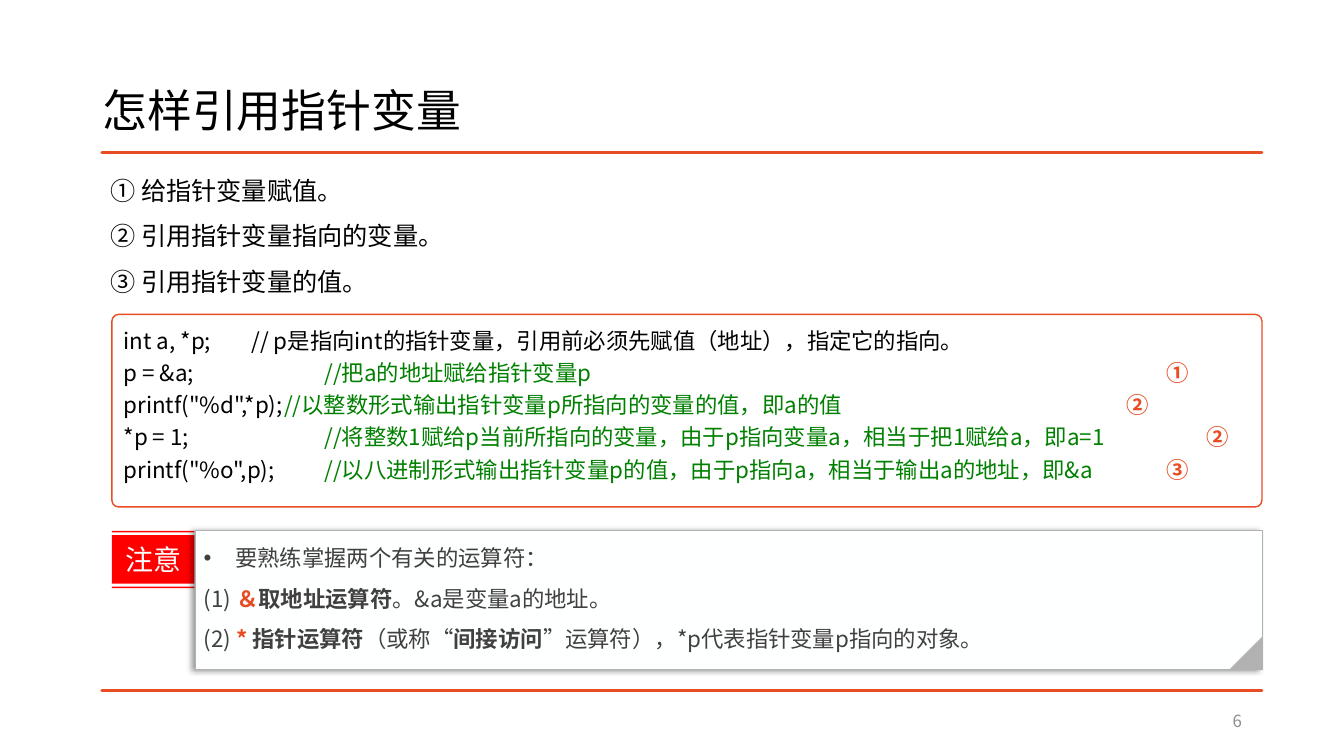
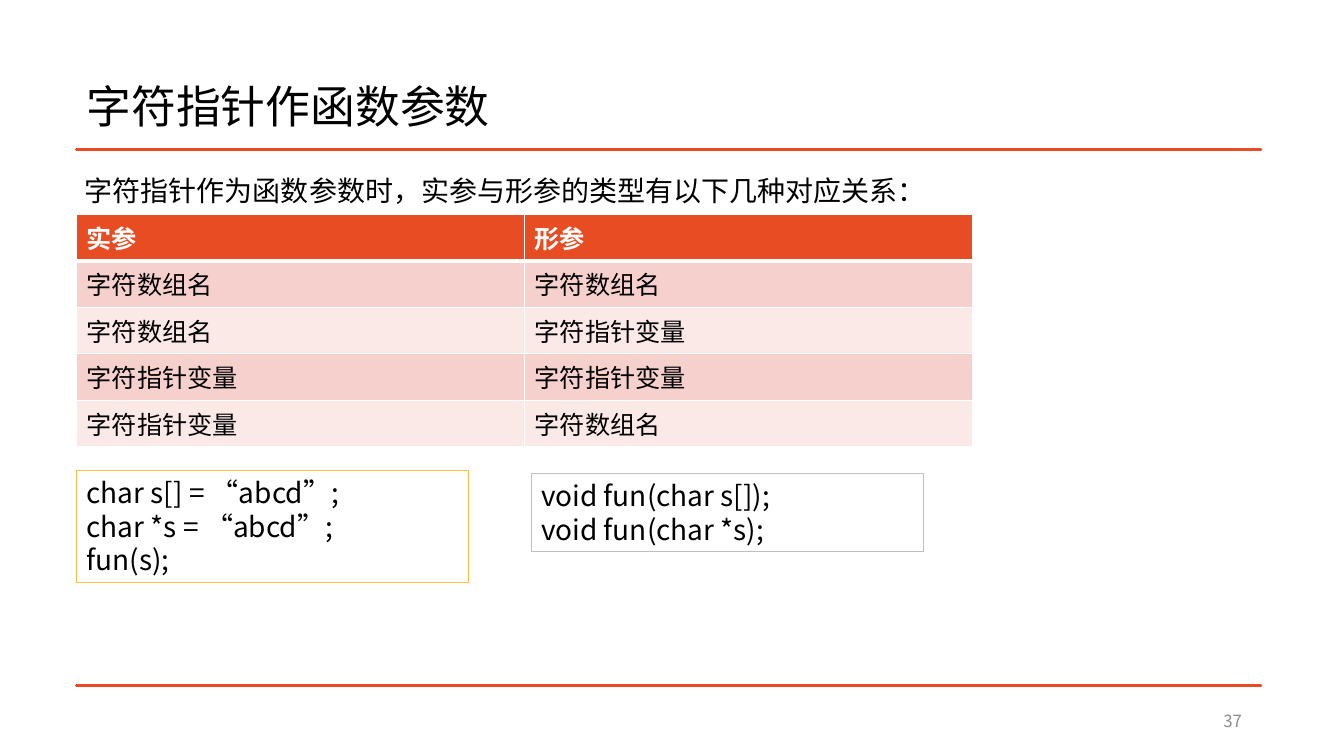
from lxml.etree import SubElement
from pptx import Presentation
from pptx.dml.color import RGBColor
from pptx.enum.lang import MSO_LANGUAGE_ID as Lang
from pptx.enum.shapes import MSO_SHAPE as Shape
from pptx.enum.text import MSO_ANCHOR as Anchor, PP_ALIGN as Align
from pptx.oxml.ns import qn
from pptx.util import Pt

COLORS = {
    "accent": "E84C22", "black": "000000", "white": "FFFFFF", "paper": "FEFFFF",
    "green": "008000", "red": "FF0000", "gold": "FFBD47", "grey": "B2B2B2", "silver": "BFBFBF",
    "dark": "404040", "footer": "8C8C8C", "band": "F6D0CD", "pale": "FBE9E8",
}
RGB = {name: RGBColor.from_string(value) for name, value in COLORS.items()}
FONT = "Noto Sans CJK SC"


def write(frame, paragraphs, size=18, color="black", bold=False, align=Align.LEFT,
          anchor=Anchor.TOP, spacing=None, after=0, margins=(7.2, 3.6)):
    frame.word_wrap = True
    frame.vertical_anchor = anchor
    frame.margin_left = frame.margin_right = Pt(margins[0])
    frame.margin_top = frame.margin_bottom = Pt(margins[1])
    for index, spans in enumerate(paragraphs):
        para = frame.paragraphs[0] if index == 0 else frame.add_paragraph()
        para.alignment = align
        para.space_after = Pt(after)
        if spacing:
            para.line_spacing = Pt(spacing)
        if isinstance(spans, str):
            spans = [(spans, color, bold)]
        for text, span_color, span_bold in spans:
            span = para.add_run()
            span.text = text
            span.font.size = Pt(size)
            span.font.bold = span_bold
            span.font.color.rgb = RGB[span_color]
            span.font.name = FONT
            span.font.language_id = Lang.SIMPLIFIED_CHINESE
            SubElement(span.font._element, qn("a:ea"), typeface=FONT)


def add_box(page, kind, place, fill=None, line=None, width=0.75):
    box = page.shapes.add_shape(kind, *map(Pt, place))
    box.shadow.inherit = False
    if fill:
        box.fill.solid()
        box.fill.fore_color.rgb = RGB[fill]
    else:
        box.fill.background()
    if line:
        box.line.color.rgb = RGB[line]
        box.line.width = Pt(width)
    else:
        box.line.fill.background()
    return box


deck = Presentation()
deck.slide_width, deck.slide_height = Pt(960), Pt(540)

frames = [
    ("怎样引用指针变量", (66.2, 28.8, 828, 104.4), (72.7, 901.4), (493.2, 108.7), "6",
     ["① 给指针变量赋值。", "② 引用指针变量指向的变量。", "③ 引用指针变量的值。"], 18, 32.4),
    ("字符指针作函数参数", (54.7, 41, 828, 74.9), (54.5, 900.7), (489.6, 106.6), "37",
     ["字符指针作为函数参数时，实参与形参的类型有以下几种对应关系："], 20, 35.5),
]
pages = []
for title, place, (left, right), heights, number, body, size, spacing in frames:
    page = deck.slides.add_slide(deck.slide_layouts[6])
    pages.append(page)
    box = page.shapes.add_textbox(*map(Pt, place))
    write(box.text_frame, [title], size=32, anchor=Anchor.MIDDLE, spacing=33)
    builder = page.shapes.build_freeform(Pt(left), Pt(heights[0]))
    for y in heights:
        builder.move_to(Pt(left), Pt(y))
        builder.add_line_segments([(Pt(right), Pt(y)), (Pt(left), Pt(y))], close=True)
    rules = builder.convert_to_shape()
    rules.shadow.inherit = False
    rules.fill.background()
    rules.line.color.rgb = RGB["accent"]
    rules.line.width = Pt(2)
    write(rules.text_frame, body, size=size, spacing=spacing, align=Align.JUSTIFY,
          margins=(6, 5.8))
    box = page.shapes.add_textbox(Pt(678.2), Pt(500.4), Pt(216), Pt(28.8))
    write(box.text_frame, [number], size=12, color="footer", align=Align.RIGHT, anchor=Anchor.MIDDLE)
usage, arguments = pages

TAB = 28.65
code_lines = [
    ("int a, *p;", "// p是指向int的指针变量，引用前必须先赋值（地址），指定它的指向。", "", [91.2]),
    ("p = &a;", "//把a的地址赋给指针变量p", "①", [5 * TAB, 26 * TAB]),
    ("printf(\"%d\",*p);", "//以整数形式输出指针变量p所指向的变量的值，即a的值", "②", [4 * TAB, 25 * TAB]),
    ("*p = 1;", "//将整数1赋给p当前所指向的变量，由于p指向变量a，相当于把1赋给a，即a=1", "②",
     [5 * TAB, 27 * TAB]),
    ("printf(\"%o\",p);", "//以八进制形式输出指针变量p的值，由于p指向a，相当于输出a的地址，即&a", "③",
     [5 * TAB, 26 * TAB]),
]
code_box = add_box(usage, Shape.ROUNDED_RECTANGLE, (79.9, 224.6, 821.5, 137.5), "white", "accent", 1)
code_box.adjustments[0] = 0.035
code_spans = []
for code, comment, mark, stops in code_lines:
    spans = [(code + "\t", "black", False), (comment, "green" if mark else "black", False)]
    if mark:
        spans.append(("\t" + mark, "accent", True))
    code_spans.append(spans)
write(code_box.text_frame, code_spans, size=16, spacing=23, margins=(7.2, 3.8))
for para, (code, comment, mark, stops) in zip(code_box.text_frame.paragraphs, code_lines):
    tabs = SubElement(para._p.get_or_add_pPr(), qn("a:tabLst"))
    for stop in stops:
        SubElement(tabs, qn("a:tab"), pos=str(Pt(stop)), algn="l")

for top, height in [(379.2, 1.2), (419, 1.2)]:
    add_box(usage, Shape.RECTANGLE, (79.9, top, 59, height), "red")
label = add_box(usage, Shape.RECTANGLE, (79.9, 382.3, 59, 34.6), "red")
write(label.text_frame, ["注意"], size=20, color="paper", align=Align.CENTER,
      anchor=Anchor.MIDDLE, spacing=23.5)

note = add_box(usage, Shape.RECTANGLE, (139.7, 379, 761.8, 99.4), "paper", "grey")
effects = note._element.spPr.find(qn("a:effectLst"))
shadow = SubElement(effects, qn("a:outerShdw"), blurRad=str(Pt(4)), dist=str(Pt(3)),
                    dir="10800000", algn="r", rotWithShape="0")
shade = SubElement(shadow, qn("a:srgbClr"), val=COLORS["black"])
SubElement(shade, qn("a:alpha"), val="40000")
write(note.text_frame, [
    "要熟练掌握两个有关的运算符：",
    [("(1) ", "dark", False), ("＆", "accent", True), ("取地址运算符", "dark", True),
     ("。&a是变量a的地址。", "dark", False)],
    [("(2) ", "dark", False), ("* ", "accent", True), ("指针运算符", "dark", True),
     ("（或称“", "dark", False), ("间接访问", "dark", True),
     ("”运算符），*p代表指针变量p指向的对象。", "dark", False)],
], size=16, color="dark", spacing=23, after=6, margins=(5.8, 6))
bullet = note.text_frame.paragraphs[0]._p.get_or_add_pPr()
bullet.set("marL", str(Pt(22.6)))
bullet.set("indent", str(-Pt(22.6)))
SubElement(bullet, qn("a:buFont"), typeface="Arial")
SubElement(bullet, qn("a:buChar"), char="•")
corner = add_box(usage, Shape.RIGHT_TRIANGLE, (878.2, 454.8, 23.4, 23.4), "grey")
corner.rotation = 270

ARRAY, POINTER = "字符数组名", "字符指针变量"
rows = [("实参", "形参"), (ARRAY, ARRAY), (ARRAY, POINTER), (POINTER, POINTER), (POINTER, ARRAY)]
grid = arguments.shapes.add_table(len(rows), 2, Pt(54.7), Pt(153), Pt(640), Pt(166)).table
for row_index, row in enumerate(rows):
    grid.rows[row_index].height = Pt(33.2)
    header = row_index == 0
    fill = "accent" if header else ("band" if row_index % 2 else "pale")
    for column_index, text in enumerate(row):
        cell = grid.cell(row_index, column_index)
        write(cell.text_frame, [text], color="white" if header else "black", bold=header)
        properties = cell._tc.get_or_add_tcPr()
        for side in ("L", "R", "T", "B"):
            thick = header and side == "B"
            edge = SubElement(properties, qn("a:ln" + side), w=str(Pt(3 if thick else 1)))
            paint = SubElement(edge, qn("a:solidFill"))
            SubElement(paint, qn("a:srgbClr"), val=COLORS["white"])
        cell.fill.solid()
        cell.fill.fore_color.rgb = RGB[fill]

samples = [
    ((54.7, 336.2, 280, 79.9), "gold", ["char s[] = “abcd”;", "char *s = “abcd”;", "fun(s);"]),
    ((379.4, 338.4, 280, 55.4), "silver", ["void fun(char s[]);", "void fun(char *s);"]),
]
for place, line, lines in samples:
    sample = add_box(arguments, Shape.RECTANGLE, place, line=line)
    write(sample.text_frame, lines, size=20, spacing=24)

deck.save("out.pptx")
